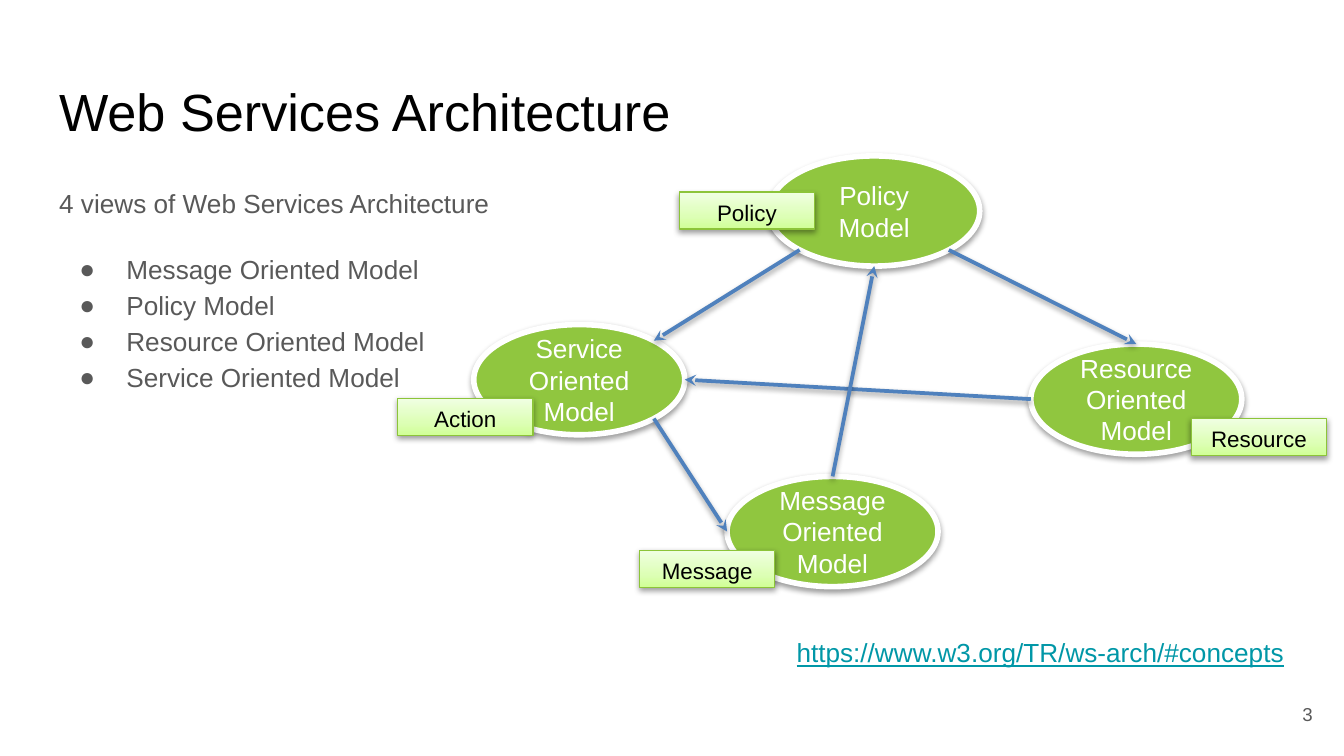
from dataclasses import dataclass

from lxml import etree
from pptx import Presentation
from pptx.dml import color
from pptx.enum import shapes, text
from pptx.oxml import ns
from pptx.util import Pt

SCALE = 4572
OVAL_W, OVAL_H = 314, 164
TAG_W, TAG_H = 201, 55
DIAG = 0.5 ** 0.5
SITES = [(0, -1), (-DIAG, -DIAG), (-1, 0), (-DIAG, DIAG),
         (0, 1), (DIAG, DIAG), (1, 0), (DIAG, -DIAG)]
TOP, TOP_LEFT, LEFT, LOW_LEFT, LOW, LOW_RIGHT, RIGHT, TOP_RIGHT = range(8)
STOPS = [(0, "D0FF96"), (35, "DDFFB6"), (100, "F0FFE2")]


@dataclass
class Model:
    name: str
    x: int
    y: int
    tag: str
    tag_x: int
    tag_y: int


@dataclass
class Link:
    start: str
    out: int
    end: str
    into: int


MODELS = [
    Model("Policy", 1144, 232, "Policy", 1011, 286),
    Model("Service Oriented", 705, 483, "Action", 592, 593),
    Model("Resource Oriented", 1534, 512, "Resource", 1773, 623),
    Model("Message Oriented", 1082, 709, "Message", 952, 819),
]
LINKS = [
    Link("Policy", LOW_LEFT, "Service Oriented", TOP_RIGHT),
    Link("Policy", LOW_RIGHT, "Resource Oriented", TOP),
    Link("Resource Oriented", LEFT, "Service Oriented", RIGHT),
    Link("Message Oriented", TOP, "Policy", LOW),
    Link("Service Oriented", LOW_RIGHT, "Message Oriented", LEFT),
]
VIEWS = ["Message Oriented Model", "Policy Model",
         "Resource Oriented Model", "Service Oriented Model"]


def px(n: int) -> int:
    return n * SCALE


def rgb(code: str) -> color.RGBColor:
    return color.RGBColor.from_string(code)


def add(parent, tag: str, **attrs):
    return etree.SubElement(parent, ns.qn(tag), {k: str(v) for k, v in attrs.items()})


def place(shape, x: int, y: int, w: int, h: int) -> None:
    shape.left, shape.top, shape.width, shape.height = map(px, (x, y, w, h))


def write(shape, *lines: str, size: int, ink: str, align: str = "LEFT",
          anchor: str = "TOP", pad: tuple = (20, 20), space: float = 1.0,
          under: bool = False) -> None:
    frame = shape.text_frame
    frame.text = "\n".join(lines)
    frame.word_wrap = True
    frame.auto_size = text.MSO_AUTO_SIZE.NONE
    frame.vertical_anchor = text.MSO_ANCHOR[anchor]
    frame.margin_left = frame.margin_right = px(pad[0])
    frame.margin_top = frame.margin_bottom = px(pad[1])
    for para in frame.paragraphs:
        para.alignment = text.PP_ALIGN[align]
        para.line_spacing = space
        para.space_before = Pt(0)
        font = para.runs[0].font
        font.name, font.size = "Arial", Pt(size)
        font.color.rgb = rgb(ink)
        if under:
            font.underline = True


def edge(shape, ink: str, width: float) -> None:
    shape.line.color.rgb = rgb(ink)
    shape.line.width = Pt(width)


def shade(shape) -> None:
    fx = add(shape._element.spPr, "a:effectLst")
    drop = add(fx, "a:outerShdw", blurRad=40000, dist=20000, dir=5400000, rotWithShape=0)
    add(add(drop, "a:srgbClr", val="000000"), "a:alpha", val=38000)


def bullet(para) -> None:
    props = para._p.get_or_add_pPr()
    props.set("marL", str(px(100)))
    props.set("indent", str(px(-70)))
    add(add(props, "a:buClr"), "a:srgbClr", val="595959")
    add(props, "a:buFont", typeface="Arial")
    add(props, "a:buChar", char="●")


def draw_oval(slide, model: Model):
    oval = slide.shapes.add_shape(shapes.MSO_SHAPE.OVAL, 0, 0, 0, 0)
    place(oval, model.x, model.y, OVAL_W, OVAL_H)
    oval.fill.solid()
    oval.fill.fore_color.rgb = rgb("90C63F")
    edge(oval, "FFFFFF", 3)
    shade(oval)
    write(oval, f"{model.name} Model", size=14, ink="FFFFFF", align="CENTER",
          anchor="MIDDLE", pad=(20, 10))
    return oval


def site(oval, index: int) -> tuple[int, int]:
    dx, dy = SITES[index]
    return (round(oval.left + oval.width * (1 + dx) / 2),
            round(oval.top + oval.height * (1 + dy) / 2))


def draw_link(slide, link: Link, ovals: dict) -> None:
    start, end = ovals[link.start], ovals[link.end]
    line = slide.shapes.add_connector(
        shapes.MSO_CONNECTOR.STRAIGHT, *site(start, link.out), *site(end, link.into))
    joint = line._element.nvCxnSpPr.cNvCxnSpPr
    add(joint, "a:stCxn", id=start.shape_id, idx=link.out)
    add(joint, "a:endCxn", id=end.shape_id, idx=link.into)
    edge(line, "4F81BD", 2)
    add(line._element.spPr.find(ns.qn("a:ln")), "a:tailEnd", type="stealth")
    shade(line)


def draw_tag(slide, model: Model) -> None:
    tag = slide.shapes.add_shape(shapes.MSO_SHAPE.RECTANGLE, 0, 0, 0, 0)
    place(tag, model.tag_x, model.tag_y, TAG_W, TAG_H)
    tag.fill.gradient()
    tag.fill.gradient_angle = 90
    stops = tag._element.spPr.find(".//" + ns.qn("a:gsLst"))
    for old in list(stops):
        stops.remove(old)
    for pos, ink in STOPS:
        add(add(stops, "a:gs", pos=pos * 1000), "a:srgbClr", val=ink)
    edge(tag, "8CC439", 0.75)
    shade(tag)
    write(tag, model.tag, size=12, ink="000000", align="CENTER", pad=(20, 10))


def draw_note(slide, words: str, box: tuple, **style) -> None:
    note = slide.shapes.add_textbox(0, 0, 0, 0)
    place(note, *box)
    write(note, words, align="RIGHT", anchor="MIDDLE", **style)


def main() -> None:
    deck = Presentation()
    deck.slide_width, deck.slide_height = px(2000), px(1125)
    slide = deck.slides.add_slide(deck.slide_layouts[1])

    title, body = slide.placeholders
    place(title, 68, 98, 1864, 126)
    write(title, "Web Services Architecture", size=28, ink="000000")
    place(body, 68, 252, 874, 748)
    write(body, "4 views of Web Services Architecture", *VIEWS,
          size=14, ink="595959", space=1.15)
    intro, *items = body.text_frame.paragraphs
    props = intro._p.get_or_add_pPr()
    props.set("marL", "0")
    props.set("indent", "0")
    add(props, "a:buNone")
    items[0].space_before = Pt(16)
    for item in items:
        bullet(item)

    draw_note(slide, "3", (1853, 1020, 120, 86), size=10, ink="595959")
    ovals = {model.name: draw_oval(slide, model) for model in MODELS}
    for link in LINKS:
        draw_link(slide, link, ovals)
    for model in MODELS:
        draw_tag(slide, model)
    draw_note(slide, "https://www.w3.org/TR/ws-arch/#concepts", (933, 921, 998, 100),
              size=14, ink="0097A7", under=True)
    deck.save("out.pptx")


if __name__ == "__main__":
    main()
